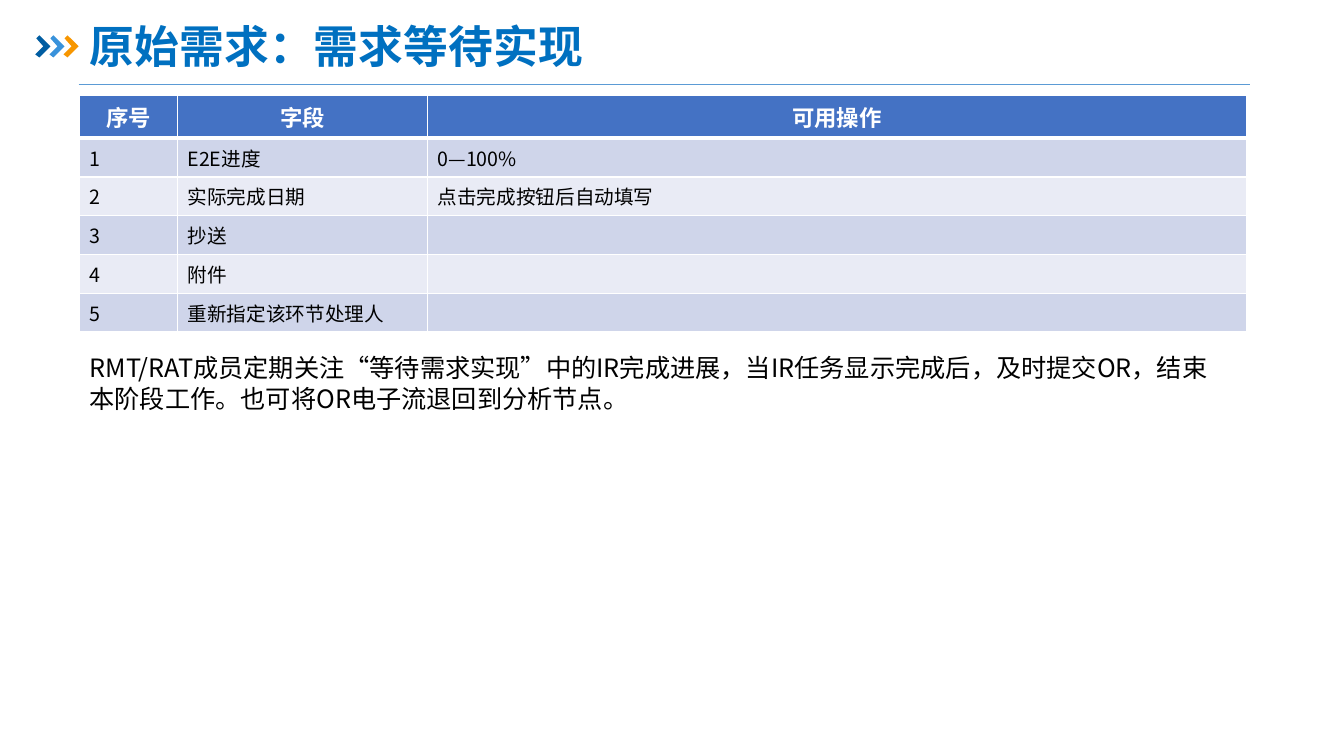
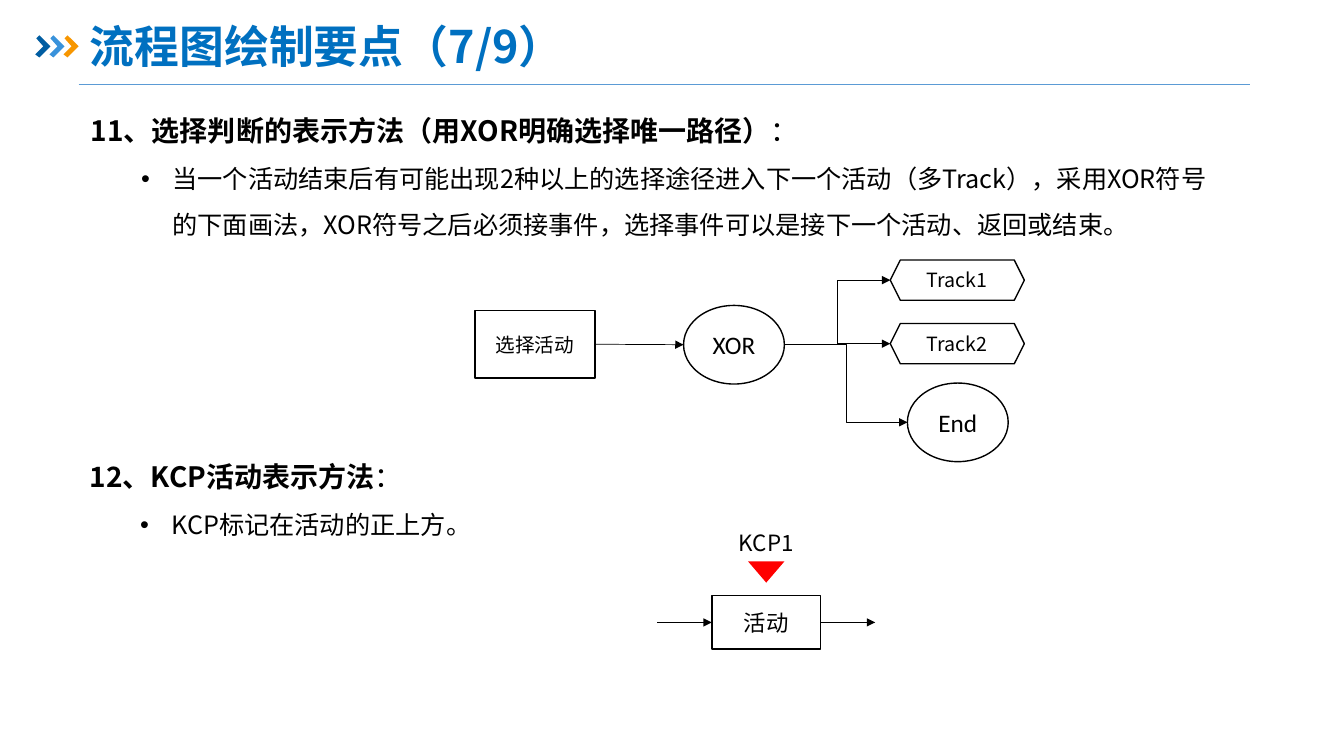
"""Build two slides: a field table and flow chart drawing rules."""
from lxml.etree import SubElement
from pptx import Presentation
from pptx.dml.color import RGBColor
from pptx.enum.shapes import MSO_CONNECTOR, MSO_SHAPE
from pptx.enum.text import MSO_ANCHOR, MSO_AUTO_SIZE, PP_ALIGN
from pptx.oxml.ns import qn
from pptx.util import Inches, Pt

BLACK = RGBColor(0, 0, 0)
WHITE = RGBColor(255, 255, 255)
RED = RGBColor(255, 0, 0)
TITLE = RGBColor(0x00, 0x70, 0xC0)
RULE = RGBColor(0x5B, 0x9B, 0xD5)
HEAD = RGBColor(0x44, 0x72, 0xC4)
BANDS = (RGBColor(0xE9, 0xEB, 0xF5), RGBColor(0xCF, 0xD5, 0xEA))
MARKS = (RGBColor(0x00, 0x5D, 0xA2), RGBColor(0x39, 0x92, 0xDB), RGBColor(0xF7, 0x96, 0x00))
FONT, ROUND = "Noto Sans CJK SC", "Calibri"
LEFT = 0.79

TITLES = ("原始需求：需求等待实现", "流程图绘制要点（7/9）")
ROWS = [
    ("序号", "字段", "可用操作"),
    ("1", "E2E进度", "0—100%"),
    ("2", "实际完成日期", "点击完成按钮后自动填写"),
    ("3", "抄送", ""),
    ("4", "附件", ""),
    ("5", "重新指定该环节处理人", ""),
]
COLS = (0.97, 2.48, 8.12)
NOTE = ("RMT/RAT成员定期关注“等待需求实现”中的IR完成进展，当IR任务显示完成后，"
        "及时提交OR，结束本阶段工作。也可将OR电子流退回到分析节点。")
RULES = [
    ((0.8, 0.9, 11.4, 1.51), "11、选择判断的表示方法（用XOR明确选择唯一路径）",
     "当一个活动结束后有可能出现2种以上的选择途径进入下一个活动（多Track），采用XOR符号的下面画法，"
     "XOR符号之后必须接事件，选择事件可以是接下一个活动、返回或结束。"),
    ((0.79, 4.33, 11.4, 1.06), "12、KCP活动表示方法", "KCP标记在活动的正上方。"),
]
BOX, HEX, OVAL = MSO_SHAPE.FLOWCHART_PROCESS, MSO_SHAPE.HEXAGON, MSO_SHAPE.OVAL
NODES = {
    "选择活动": (BOX, (4.71, 3.08, 1.19, 0.67), 14, FONT),
    "XOR": (OVAL, (6.78, 3.03, 1, 0.78), 18, ROUND),
    "Track1": (HEX, (8.83, 2.58, 1.33, 0.4), 14, FONT),
    "Track2": (HEX, (8.83, 3.21, 1.33, 0.4), 14, FONT),
    "End": (OVAL, (9, 3.8, 1, 0.78), 18, ROUND),
    "活动": (BOX, (7.06, 5.91, 1.08, 0.53), 16, FONT),
}
STUB = 0.54


def inch(*nums):
    """Turn numbers into lengths."""
    return [Inches(n) for n in nums]


def style(para, size, color=BLACK, bold=False, font=FONT):
    """Format all runs of a paragraph."""
    for run in para.runs:
        run.font.size, run.font.bold, run.font.name = Pt(size), bold, font
        run.font.color.rgb = color
        latin = run.font._element.find(qn("a:latin"))
        latin.addnext(latin.makeelement(qn("a:ea"), {"typeface": font}))


def link(shapes, start, end, kind=MSO_CONNECTOR.STRAIGHT, color=BLACK, arrow=True):
    """Draw a thin line, with an arrowhead if wanted."""
    line = shapes.add_connector(kind, *inch(*start, *end))
    line.line.color.rgb, line.line.width = color, Pt(0.5)
    if arrow:
        SubElement(line.line._get_or_add_ln(), qn("a:tailEnd"), type="triangle")
    SubElement(line._element.spPr, qn("a:effectLst"))
    return line


def dress(prs):
    """Put the rule and the chevrons on the master."""
    slide = prs.slides[0]
    parts = [link(slide.shapes, (0.78, 0.84), (12.4, 0.84), color=RULE, arrow=False)]
    for i, color in enumerate(MARKS):
        x = 35 + 14 * i
        pen = slide.shapes.build_freeform(x + 1, 38, scale=Inches(0.01))
        pen.add_line_segments([(x + 4, 35), (x + 15, 46), (x + 4, 57), (x, 54), (x + 8, 46)])
        mark = pen.convert_to_shape()
        mark.shadow.inherit = False
        mark.fill.solid()
        mark.fill.fore_color.rgb = color
        mark.line.fill.background()
        parts.append(mark)
    for part in parts:
        prs.slide_master.shapes.element.append(part._element)


def place(shape, spot):
    """Set the place and size of a shape."""
    shape.left, shape.top, shape.width, shape.height = inch(*spot)


def start(prs, layout, text):
    """Add a slide with its title."""
    slide = prs.slides.add_slide(prs.slide_layouts[layout])
    title = slide.shapes.title
    place(title, (LEFT, 0.19, 11.5, 0.59))
    frame = title.text_frame
    frame.text = text
    frame.auto_size, frame.vertical_anchor = MSO_AUTO_SIZE.NONE, MSO_ANCHOR.MIDDLE
    para = frame.paragraphs[0]
    para.alignment, para.line_spacing = PP_ALIGN.LEFT, 0.9
    style(para, 32, TITLE, True)
    return slide


def label(slide, spot, text, size):
    """Add a wrapping text box and return its paragraph."""
    frame = slide.shapes.add_textbox(*inch(*spot)).text_frame
    frame.word_wrap = True
    frame.text = text
    style(frame.paragraphs[0], size)
    return frame.paragraphs[0]


def edge(cell, side, width):
    """Draw one white cell border."""
    line = SubElement(cell._tc.get_or_add_tcPr(), qn(f"a:ln{side}"), w=str(Pt(width)))
    fill = SubElement(line, qn("a:solidFill"))
    SubElement(fill, qn("a:srgbClr"), val=str(WHITE))


def grid(slide):
    """Build the field table."""
    spot = inch(LEFT, 0.95, sum(COLS), 2.33)
    table = slide.shapes.add_table(len(ROWS), len(COLS), *spot).table
    for col, width in zip(table.columns, COLS):
        col.width = Inches(width)
    for r, row in enumerate(ROWS):
        head = r == 0
        table.rows[r].height = Inches(0.4 if head else 0.385)
        for c, text in enumerate(row):
            cell = table.cell(r, c)
            for side in "LRTB":
                thick = (head and side == "B") or (r == 1 and side == "T")
                edge(cell, side, 3 if thick else 1)
            cell.fill.solid()
            cell.fill.fore_color.rgb = HEAD if head else BANDS[r % 2]
            cell.text = text
            para = cell.text_frame.paragraphs[0]
            if head:
                para.alignment = PP_ALIGN.CENTER
                style(para, 16, WHITE, True)
            elif text:
                style(para, 14)
            else:
                SubElement(para._p, qn("a:endParaRPr"), sz="1400")


def rule(body, spot, head, point):
    """Fill a body placeholder with a heading and one bullet."""
    place(body, spot)
    frame = body.text_frame
    frame.auto_size, frame.vertical_anchor = MSO_AUTO_SIZE.NONE, MSO_ANCHOR.TOP
    top, item = frame.paragraphs[0], frame.add_paragraph()
    top.text, item.text, item.level = head, point, 1
    top.add_run().text = "："
    style(top, 20, bold=True)
    top.runs[1].font.bold = False
    style(item, 18)
    for para, left, hang, pitch in ((top, 0, 0, 37), (item, 0.81, -0.31, 33)):
        props = para._p.get_or_add_pPr()
        props.set("marL", str(Inches(left)))
        props.set("indent", str(Inches(hang)))
        if hang:
            SubElement(props, qn("a:buFont"), typeface="Arial")
            SubElement(props, qn("a:buChar"), char="•")
        else:
            SubElement(props, qn("a:buNone"))
        para.alignment = PP_ALIGN.LEFT
        para.line_spacing, para.space_before = Pt(pitch), Pt(0)


def node(slide, text, kind, spot, size, font):
    """Add one outlined flow chart shape."""
    shape = slide.shapes.add_shape(kind, *inch(*spot))
    shape.shadow.inherit = False
    shape.fill.solid()
    shape.fill.fore_color.rgb = WHITE
    shape.line.color.rgb, shape.line.width = BLACK, Pt(1)
    frame = shape.text_frame
    frame.text, frame.word_wrap = text, False
    frame.vertical_anchor = MSO_ANCHOR.MIDDLE
    frame.paragraphs[0].alignment = PP_ALIGN.CENTER
    style(frame.paragraphs[0], size, font=font)
    return shape


def side(name, right=False):
    """Give the middle of a node's left or right side."""
    x, y, w, h = NODES[name][1]
    return x + w * right, y + h / 2


def chart(slide):
    """Draw both flow charts."""
    shapes = slide.shapes
    nodes = {name: node(slide, name, *spec) for name, spec in NODES.items()}
    link(shapes, side("选择活动", True), side("XOR")).begin_connect(nodes["选择活动"], 3)
    for name in ("Track1", "Track2", "End"):
        link(shapes, side("XOR", True), side(name), MSO_CONNECTOR.ELBOW)
    x, y = side("活动")
    link(shapes, (x - STUB, y), (x, y)).end_connect(nodes["活动"], 1)
    x, y = side("活动", True)
    link(shapes, (x, y), (x + STUB, y)).begin_connect(nodes["活动"], 3)
    flag = shapes.add_shape(MSO_SHAPE.FLOWCHART_MERGE, *inch(7.42, 5.57, 0.36, 0.21))
    flag.shadow.inherit = False
    flag.fill.solid()
    flag.fill.fore_color.rgb = RED
    flag.line.fill.background()
    label(slide, (6.49, 5.2, 2.22, 0.37), "KCP1", 16).alignment = PP_ALIGN.CENTER


def main():
    """Build and save the slides."""
    prs = Presentation()
    prs.slide_width, prs.slide_height = inch(13.33, 7.5)
    first = start(prs, 5, TITLES[0])
    dress(prs)
    grid(first)
    label(first, (LEFT, 3.44, 11.5, 0.71), NOTE, 18).line_spacing = Pt(22)
    second = start(prs, 3, TITLES[1])
    for body, item in zip(list(second.placeholders)[1:], RULES):
        rule(body, *item)
    chart(second)
    prs.save("out.pptx")


if __name__ == "__main__":
    main()
